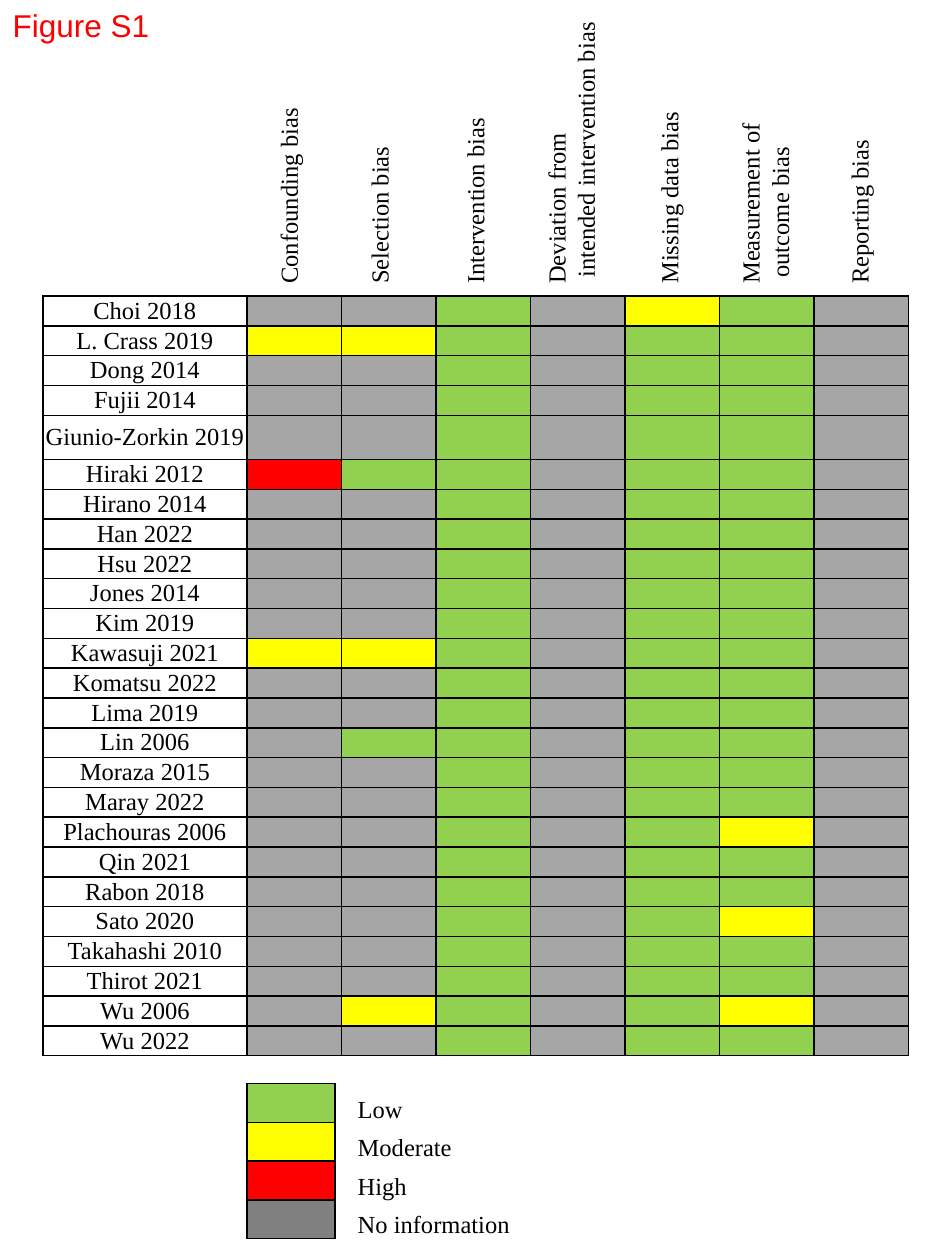
from lxml.etree import SubElement
from pptx import Presentation
from pptx.dml.color import RGBColor as RGB
from pptx.enum.text import MSO_ANCHOR as Anchor, MSO_AUTO_SIZE as Fit, PP_ALIGN as Align
from pptx.oxml.ns import qn
from pptx.util import Inches, Pt

COLORS = {"L": "92D050", "M": "FFFF00", "H": "FF0000", "N": "A6A6A6",
          "none": "808080", "ink": "000000", "title": "FF0000"}
SERIF = "Times New Roman"


def style(para, size=14, face=SERIF, color="ink"):
    for run in para.runs:
        run.font.size = Pt(size)
        run.font.name = face
        run.font.color.rgb = RGB.from_string(COLORS[color])


def frame(cell, color=None):
    cell.margin_left = cell.margin_right = cell.margin_top = cell.margin_bottom = 0
    cell.vertical_anchor = Anchor.MIDDLE
    props = cell._tc.get_or_add_tcPr()
    for side in ("lnL", "lnR", "lnT", "lnB"):
        line = SubElement(props, qn("a:" + side), w=str(Pt(1)))
        fill = SubElement(line, qn("a:solidFill"))
        SubElement(fill, qn("a:srgbClr"), val=COLORS["ink"])
    if color:
        cell.fill.solid()
        cell.fill.fore_color.rgb = RGB.from_string(COLORS[color])
        para = cell.text_frame.paragraphs[0]
        SubElement(para._p, qn("a:endParaRPr"), sz="1000")
    else:
        cell.fill.background()


prs = Presentation()
prs.slide_width, prs.slide_height = Inches(7.5), Inches(10)
slide = prs.slides.add_slide(prs.slide_layouts[5])

title = slide.shapes.title
title.left, title.top, title.width, title.height = 0, 0, Inches(1.43), Inches(0.4)
text = title.text_frame
text.text = "Figure S1"
text.vertical_anchor = Anchor.TOP
text.auto_size = Fit.NONE
text.paragraphs[0].alignment = Align.LEFT
style(text.paragraphs[0], 18, "Arial", "title")

studies = ["Choi 2018", "L. Crass 2019", "Dong 2014", "Fujii 2014",
           "Giunio-Zorkin 2019", "Hiraki 2012", "Hirano 2014", "Han 2022",
           "Hsu 2022", "Jones 2014", "Kim 2019", "Kawasuji 2021",
           "Komatsu 2022", "Lima 2019", "Lin 2006", "Moraza 2015",
           "Maray 2022", "Plachouras 2006", "Qin 2021", "Rabon 2018",
           "Sato 2020", "Takahashi 2010", "Thirot 2021", "Wu 2006", "Wu 2022"]
usual = "NNLNLLN"
ratings = {"Choi 2018": "NNLNMLN", "L. Crass 2019": "MMLNLLN",
           "Hiraki 2012": "HLLNLLN", "Kawasuji 2021": "MMLNLLN",
           "Lin 2006": "NLLNLLN", "Plachouras 2006": "NNLNLMN",
           "Sato 2020": "NNLNLMN", "Wu 2006": "NMLNLMN"}
tall, high = 0.35, 6.03
grid = slide.shapes.add_table(len(studies), 8, Inches(0.34), Inches(2.35),
                              Inches(6.86), Inches(high)).table
grid.first_row = grid.horz_banding = False
for col in grid.columns:
    col.width = Inches(0.75)
grid.columns[0].width = Inches(1.62)
for i, study in enumerate(studies):
    even = (high - tall) / (len(studies) - 1)
    grid.rows[i].height = Inches(tall if study == "Giunio-Zorkin 2019" else even)
    cell = grid.cell(i, 0)
    cell.text_frame.text = study
    frame(cell)
    para = cell.text_frame.paragraphs[0]
    para.alignment = Align.CENTER
    style(para)
    for j, code in enumerate(ratings.get(study, usual), 1):
        frame(grid.cell(i, j), code)

levels = {"Low": "L", "Moderate": "M", "High": "H", "No information": "none"}
key = slide.shapes.add_table(len(levels), 1, Inches(1.96), Inches(8.6),
                             Inches(0.7), Inches(1.23)).table
key.first_row = key.horz_banding = False
for i, code in enumerate(levels.values()):
    frame(key.cell(i, 0), code)

labels = [("Confounding bias", 2.29, 1.6, 0.34),
          ("Selection bias", 3.01, 1.3, 0.34),
          ("Intervention bias", 3.77, 1.53, 0.34),
          ("Deviation from\n intended intervention bias", 4.53, 2.29, 0.57),
          ("Missing data bias", 5.31, 1.58, 0.34),
          ("Measurement of\n outcome bias", 6.07, 1.49, 0.57),
          ("Reporting bias", 6.82, 1.35, 0.34)]
base = 2.35
for label, mid, wide, deep in labels:
    box = slide.shapes.add_textbox(Inches(mid - wide / 2),
                                   Inches(base - wide / 2 - deep / 2),
                                   Inches(wide), Inches(deep))
    box.rotation = 270
    text = box.text_frame
    text.word_wrap = False
    text.auto_size = Fit.SHAPE_TO_FIT_TEXT
    text.text = label
    for para in text.paragraphs:
        style(para)

box = slide.shapes.add_textbox(Inches(2.74), Inches(8.56), Inches(1.78), Inches(1.3))
text = box.text_frame
text.word_wrap = True
text.auto_size = Fit.SHAPE_TO_FIT_TEXT
text.text = "\n".join(levels)
for para in text.paragraphs:
    para.line_spacing = Pt(22)
    style(para)

prs.save("out.pptx")
